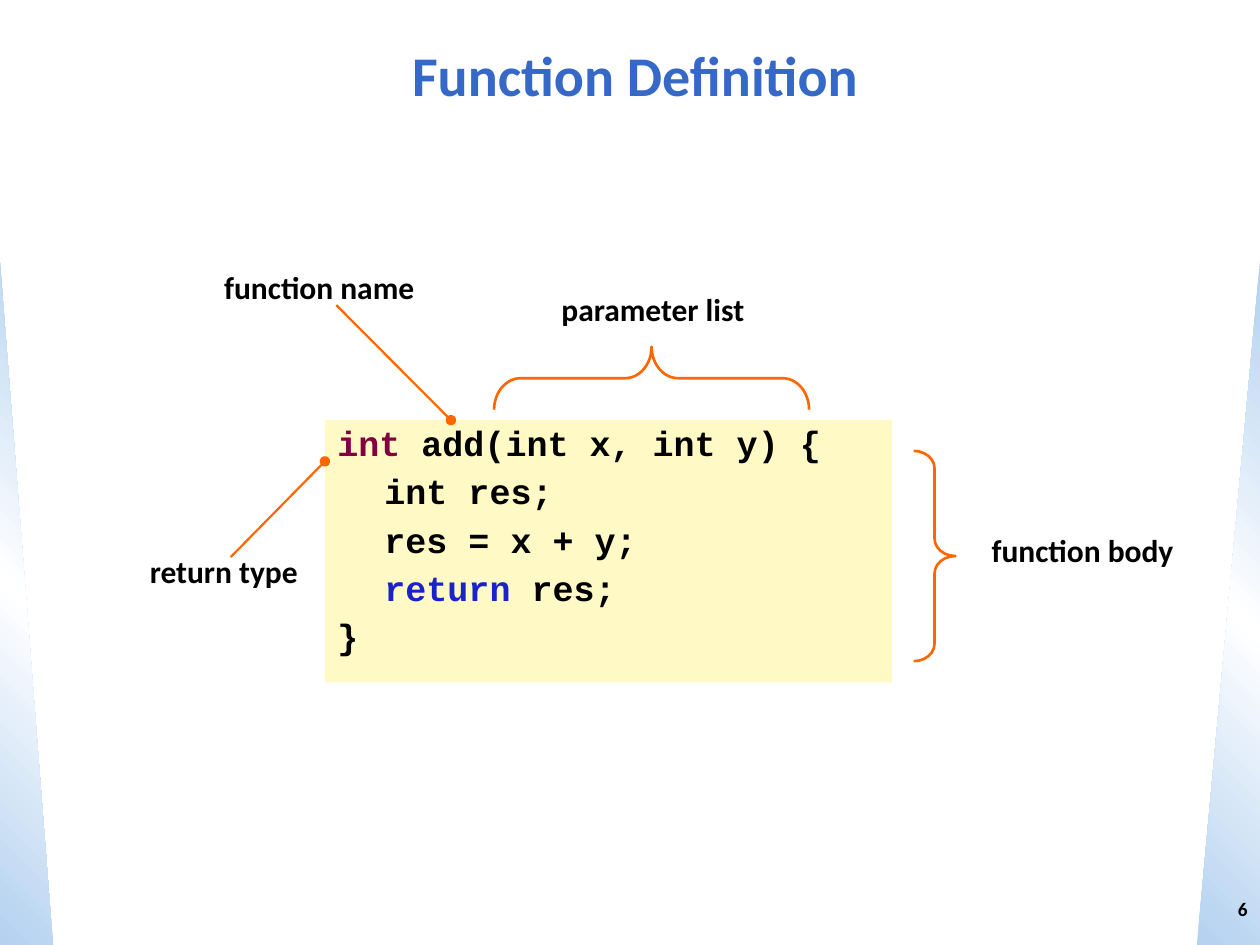
from dataclasses import dataclass

from lxml import etree
from pptx import Presentation
from pptx import util as u
from pptx.dml.color import RGBColor
from pptx.enum import shapes, text
from pptx.oxml import parse_xml
from pptx.oxml.ns import nsdecls, qn

BLUE = RGBColor(0x35, 0x68, 0xC7)
PALE_BLUE = RGBColor(0xB3, 0xD1, 0xF0)
WHITE = RGBColor(0xFF, 0xFF, 0xFF)
BLACK = RGBColor(0, 0, 0)
CREAM = RGBColor(0xFF, 0xF9, 0xC5)
ORANGE = RGBColor(0xFF, 0x66, 0x00)
MAROON = RGBColor(0x80, 0x00, 0x40)
KEYWORD_BLUE = RGBColor(0x18, 0x22, 0xCD)
BODY_FONT = "Calibri"
CODE_FONT = "Courier New"


@dataclass
class Box:
    left: float
    top: float
    width: float
    height: float

    def emu(self) -> list[int]:
        return [u.Cm(v) for v in (self.left, self.top, self.width, self.height)]


@dataclass
class Wedge:
    box: Box
    angle: int
    flipped: bool


@dataclass
class Label:
    wording: str
    box: Box


@dataclass
class Pointer:
    start: tuple[float, float]
    end: tuple[float, float]


@dataclass
class Brace:
    kind: shapes.MSO_SHAPE
    box: Box
    rotation: int


WEDGES = [
    Wedge(Box(0, 5.28, 1.07, 13.77), 315, False),
    Wedge(Box(24.13, 5.28, 1.27, 13.77), 45, True),
]
POINTERS = [
    Pointer((4.65, 11.23), (6.55, 9.3)),
    Pointer((6.78, 6.15), (9.09, 8.47)),
]
BRACES = [
    Brace(shapes.MSO_SHAPE.LEFT_BRACE, Box(12.5, 4.45, 1.27, 6.35), 90),
    Brace(shapes.MSO_SHAPE.RIGHT_BRACE, Box(18.42, 9.09, 0.84, 4.24), 0),
]
LABELS = [
    Label("return type", Box(2.77, 11, 4.14, 1.02)),
    Label("function name", Box(4.27, 5.28, 5.16, 1.02)),
    Label("parameter list", Box(11.07, 5.72, 5.03, 1.02)),
    Label("function body", Box(19.74, 10.59, 4.9, 1.02)),
]
CODE = [
    [("int", MAROON), (" add(int x, int y) {", BLACK)],
    [("\tint res;", BLACK)],
    [("\tres = x + y;", BLACK)],
    [("\t", BLACK), ("return", KEYWORD_BLUE), (" res;", BLACK)],
    [("}", BLACK)],
]


def style(font, size: float, color: RGBColor, name: str = BODY_FONT) -> None:
    font.name = name
    font.size = u.Pt(size)
    font.bold = True
    font.color.rgb = color


def add_title(s, wording: str) -> None:
    title = s.shapes.title
    title.left, title.top, title.width, title.height = Box(0.84, 0.43, 23.93, 2.11).emu()
    tf = title.text_frame
    tf.text = wording
    tf.auto_size = text.MSO_AUTO_SIZE.NONE
    tf.vertical_anchor = text.MSO_ANCHOR.MIDDLE
    p = tf.paragraphs[0]
    p.alignment = text.PP_ALIGN.CENTER
    style(p.runs[0].font, 32, BLUE)


def add_wedge(s, wedge: Wedge) -> None:
    sp = s.shapes.add_shape(shapes.MSO_SHAPE.RIGHT_TRIANGLE, *wedge.box.emu())
    sp.shadow.inherit = False
    sp.line.fill.background()
    stops = "".join(
        f'<a:gs pos="{pos}"><a:srgbClr val="{color}"/></a:gs>'
        for pos, color in ((0, PALE_BLUE), (50000, WHITE), (100000, PALE_BLUE))
    )
    gradient = parse_xml(
        f'<a:gradFill {nsdecls("a")} rotWithShape="1"><a:gsLst>{stops}</a:gsLst>'
        f'<a:lin ang="{wedge.angle * 60000}" scaled="0"/></a:gradFill>'
    )
    properties = sp._element.spPr
    properties.find(qn("a:prstGeom")).addnext(gradient)
    if wedge.flipped:
        properties.find(qn("a:xfrm")).set("flipH", "1")


def add_code(s, box: Box) -> None:
    sp = s.shapes.add_shape(shapes.MSO_SHAPE.RECTANGLE, *box.emu())
    sp.shadow.inherit = False
    sp.fill.solid()
    sp.fill.fore_color.rgb = CREAM
    sp.line.fill.background()
    tf = sp.text_frame
    tf.word_wrap = True
    tf.vertical_anchor = text.MSO_ANCHOR.TOP
    for i, line in enumerate(CODE):
        p = tf.add_paragraph() if i else tf.paragraphs[0]
        p.alignment = text.PP_ALIGN.LEFT
        p.line_spacing = 0.9
        if i:
            p.space_before = u.Pt(6)
        properties = p._p.get_or_add_pPr()
        properties.set("marL", str(u.Cm(0.95)))
        properties.set("indent", str(-u.Cm(0.95)))
        for wording, color in line:
            r = p.add_run()
            r.text = wording
            style(r.font, 20, color, CODE_FONT)


def add_pointer(s, pointer: Pointer) -> None:
    ends = [u.Cm(v) for v in (*pointer.start, *pointer.end)]
    line = s.shapes.add_connector(shapes.MSO_CONNECTOR.STRAIGHT, *ends)
    line.line.color.rgb = ORANGE
    line.line.width = u.Pt(1.25)
    etree.SubElement(line.line._get_or_add_ln(), qn("a:tailEnd"), type="oval")
    etree.SubElement(line._element.spPr, qn("a:effectLst"))


def add_brace(s, brace: Brace) -> None:
    sp = s.shapes.add_shape(brace.kind, *brace.box.emu())
    sp.shadow.inherit = False
    sp.adjustments[0] = 0.42
    sp.rotation = brace.rotation
    sp.fill.background()
    sp.line.color.rgb = ORANGE
    sp.line.width = u.Pt(1.5)


def add_label(s, label: Label, size: float = 18):
    tf = s.shapes.add_textbox(*label.box.emu()).text_frame
    tf.word_wrap = True
    tf.text = label.wording
    style(tf.paragraphs[0].runs[0].font, size, BLACK)
    return tf


def main() -> None:
    prs = Presentation()
    prs.slide_width, prs.slide_height = u.Cm(25.4), u.Cm(19.05)
    s = prs.slides.add_slide(prs.slide_layouts[5])
    add_title(s, "Function Definition")
    for wedge in WEDGES:
        add_wedge(s, wedge)
    add_code(s, Box(6.55, 8.47, 11.43, 5.29))
    for pointer in POINTERS:
        add_pointer(s, pointer)
    for brace in BRACES:
        add_brace(s, brace)
    for label in LABELS:
        add_label(s, label)
    number = add_label(s, Label("6", Box(24.13, 17.58, 1.27, 1.47)), 11)
    number.vertical_anchor = text.MSO_ANCHOR.MIDDLE
    number.paragraphs[0].alignment = text.PP_ALIGN.RIGHT
    prs.save("out.pptx")


if __name__ == "__main__":
    main()
